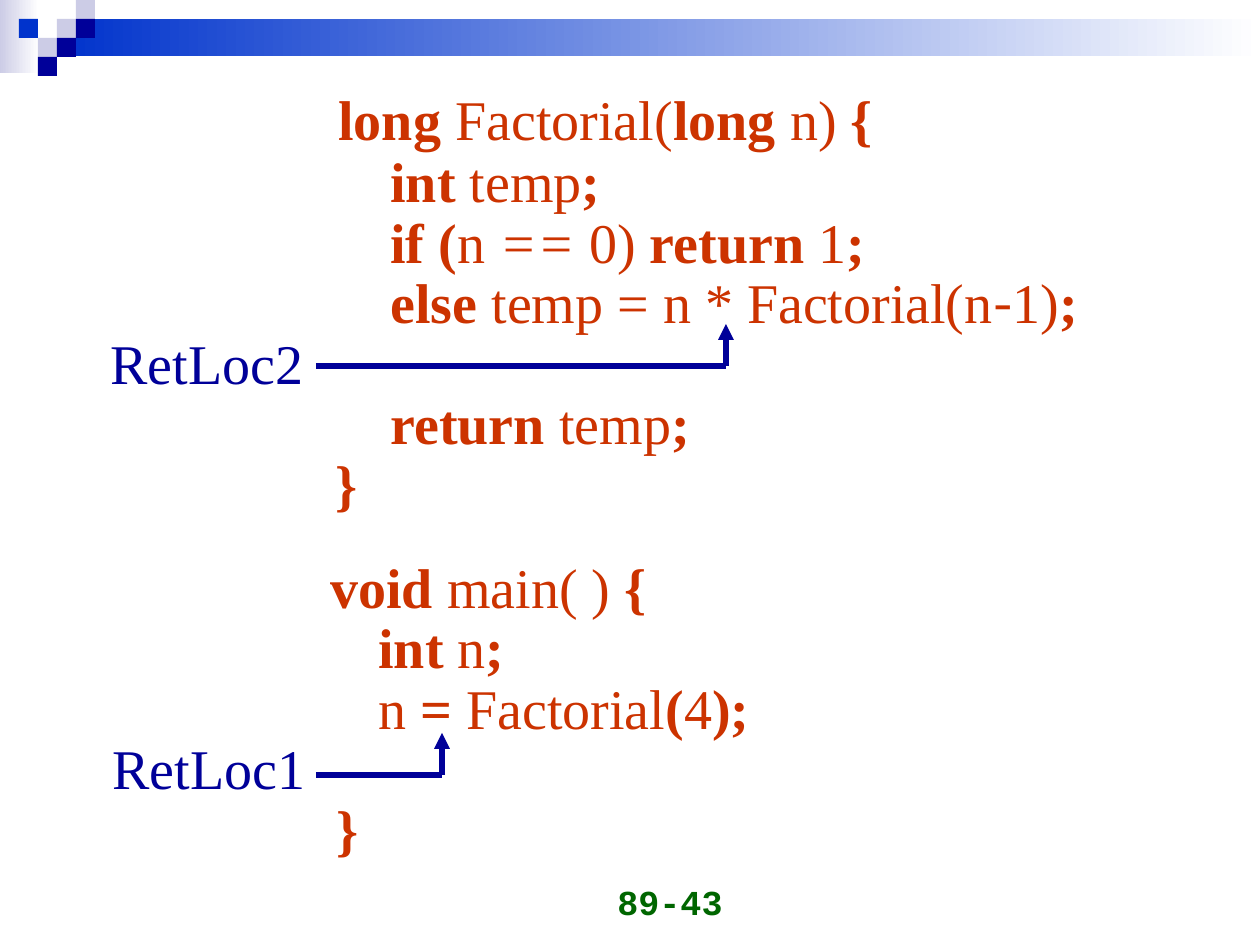
from dataclasses import dataclass

from lxml import etree
from pptx import Presentation
from pptx import util as u
from pptx.dml.color import RGBColor
from pptx.enum import shapes, text
from pptx.oxml.ns import qn


@dataclass(frozen=True)
class Theme:
    code: str = "CC3300"
    navy: str = "000099"
    blue: str = "0033CC"
    lavender: str = "CCCCE6"
    white: str = "FFFFFF"
    number: str = "006600"
    code_font: str = "Times New Roman"
    dash_font: str = "Noto Sans CJK SC"
    number_font: str = "Courier New"
    code_size: int = 32
    number_size: int = 20
    line_width: int = 3
    line_spacing: float = 0.9


THEME = Theme()
PLAIN, BOLD, ITALIC, DASH = "plain", "bold", "italic", "dash"


def px(length):
    return u.Emu(round(length * 914400 / 126))


class SlideBuilder:
    def __init__(self, slide, theme):
        self.slide = slide
        self.theme = theme

    def rectangle(self, left, top, width, height, *colours):
        shape = self.slide.shapes.add_shape(
            shapes.MSO_SHAPE.RECTANGLE, px(left), px(top), px(width), px(height))
        shape.shadow.inherit = False
        shape.line.fill.background()
        if len(colours) == 1:
            shape.fill.solid()
            shape.fill.fore_color.rgb = RGBColor.from_string(colours[0])
        else:
            shape.fill.gradient()
            shape.fill.gradient_angle = 0
            for stop, colour in zip(shape.fill.gradient_stops, colours):
                stop.color.rgb = RGBColor.from_string(colour)

    def text_box(self, left, top, width, height):
        shape = self.slide.shapes.add_textbox(px(left), px(top), px(width), px(height))
        shape.text_frame.word_wrap = True
        return shape.text_frame

    def run(self, paragraph, wording, font, size, colour, bold, italic=False):
        run = paragraph.add_run()
        run.text = wording
        run.font.name = font
        run.font.size = u.Pt(size)
        run.font.bold = bold
        run.font.italic = italic
        run.font.color.rgb = RGBColor.from_string(colour)

    def listing(self, left, top, width, height, lines, extra_top=0):
        frame = self.text_box(left, top, width, height)
        frame.auto_size = text.MSO_AUTO_SIZE.SHAPE_TO_FIT_TEXT
        frame.margin_top = px(6 + extra_top)
        for index, (indent, colour, runs) in enumerate(lines):
            paragraph = frame.add_paragraph() if index else frame.paragraphs[0]
            paragraph.line_spacing = self.theme.line_spacing
            properties = paragraph._p.get_or_add_pPr()
            properties.set("marL", str(px(indent)))
            properties.set("indent", "0")
            for wording, style in runs:
                font = self.theme.dash_font if style == DASH else self.theme.code_font
                self.run(paragraph, wording, font, self.theme.code_size, colour,
                         style == BOLD, style == ITALIC)
        if extra_top:
            frame.paragraphs[0].space_after = u.Pt(1)

    def slide_number(self, left, top, width, height, wording):
        frame = self.text_box(left, top, width, height)
        frame.vertical_anchor = text.MSO_ANCHOR.BOTTOM
        paragraph = frame.paragraphs[0]
        paragraph.alignment = text.PP_ALIGN.RIGHT
        self.run(paragraph, wording, self.theme.number_font,
                 self.theme.number_size, self.theme.number, True)

    def line(self, start, end, arrow=False):
        connector = self.slide.shapes.add_connector(
            shapes.MSO_CONNECTOR.STRAIGHT, *map(px, start + end))
        connector.line.width = u.Pt(self.theme.line_width)
        connector.line.color.rgb = RGBColor.from_string(self.theme.navy)
        if arrow:
            etree.SubElement(connector.line._get_or_add_ln(), qn("a:tailEnd"), type="triangle")
        etree.SubElement(connector._element.spPr, qn("a:effectLst"))

    def return_arrow(self, left, right, bottom, top):
        self.line((right, bottom), (right, top), arrow=True)
        self.line((left, bottom), (right, bottom))


FACTORIAL = [
    (283, THEME.code, [("long", BOLD), (" Factorial(", PLAIN), ("long", BOLD),
                       (" n) ", PLAIN), ("{", BOLD)]),
    (335, THEME.code, [("int", BOLD), (" temp", PLAIN), (";", BOLD)]),
    (335, THEME.code, [("if (", BOLD), ("n", PLAIN), (" ==", ITALIC), (" 0) ", PLAIN),
                       ("return", BOLD), (" 1", PLAIN), (";", BOLD)]),
    (335, THEME.code, [("else", BOLD), (" temp = n * Factorial(n", PLAIN), ("-", DASH),
                       ("1)", PLAIN), (";", BOLD)]),
    (55, THEME.navy, [("RetLoc2", PLAIN)]),
    (335, THEME.code, [("return", BOLD), (" temp", PLAIN), (";", BOLD)]),
    (280, THEME.code, [("}", BOLD)]),
]

MAIN = [
    (260, THEME.code, [("void ", BOLD), ("main( )", PLAIN), (" {", BOLD)]),
    (308, THEME.code, [("int ", BOLD), ("n", PLAIN), (";", BOLD)]),
    (308, THEME.code, [("n", PLAIN), (" = ", BOLD), ("Factorial", PLAIN), ("(", BOLD),
                       ("4", PLAIN), (");", BOLD)]),
    (42, THEME.navy, [("RetLoc1", PLAIN)]),
    (266, THEME.code, [("}", BOLD)]),
]

CELL = 19
HEADER_CELLS = [
    (3, 1, THEME.lavender), (4, 0, THEME.lavender), (4, 1, THEME.navy),
    (2, 2, THEME.lavender), (1, 1, THEME.blue), (3, 2, THEME.navy), (2, 3, THEME.navy),
]


def main():
    presentation = Presentation()
    presentation.slide_width, presentation.slide_height = px(1260), px(945)
    slide = presentation.slides.add_slide(presentation.slide_layouts[6])
    builder = SlideBuilder(slide, THEME)

    builder.rectangle(0, 0, 39, 73, THEME.lavender, THEME.white)
    builder.rectangle(57, 19, 1203, 37, THEME.blue, THEME.white)
    for column, row, colour in HEADER_CELLS:
        builder.rectangle(column * CELL, row * CELL, CELL, CELL, colour)

    builder.slide_number(441, 866, 294, 63, "89-43")
    builder.listing(43, 81, 1113, 443, FACTORIAL, extra_top=5)
    builder.listing(58, 554, 1013, 315, MAIN)
    builder.return_arrow(316, 726, 366, 324)
    builder.return_arrow(316, 442, 775, 733)

    presentation.save("out.pptx")


if __name__ == "__main__":
    main()
